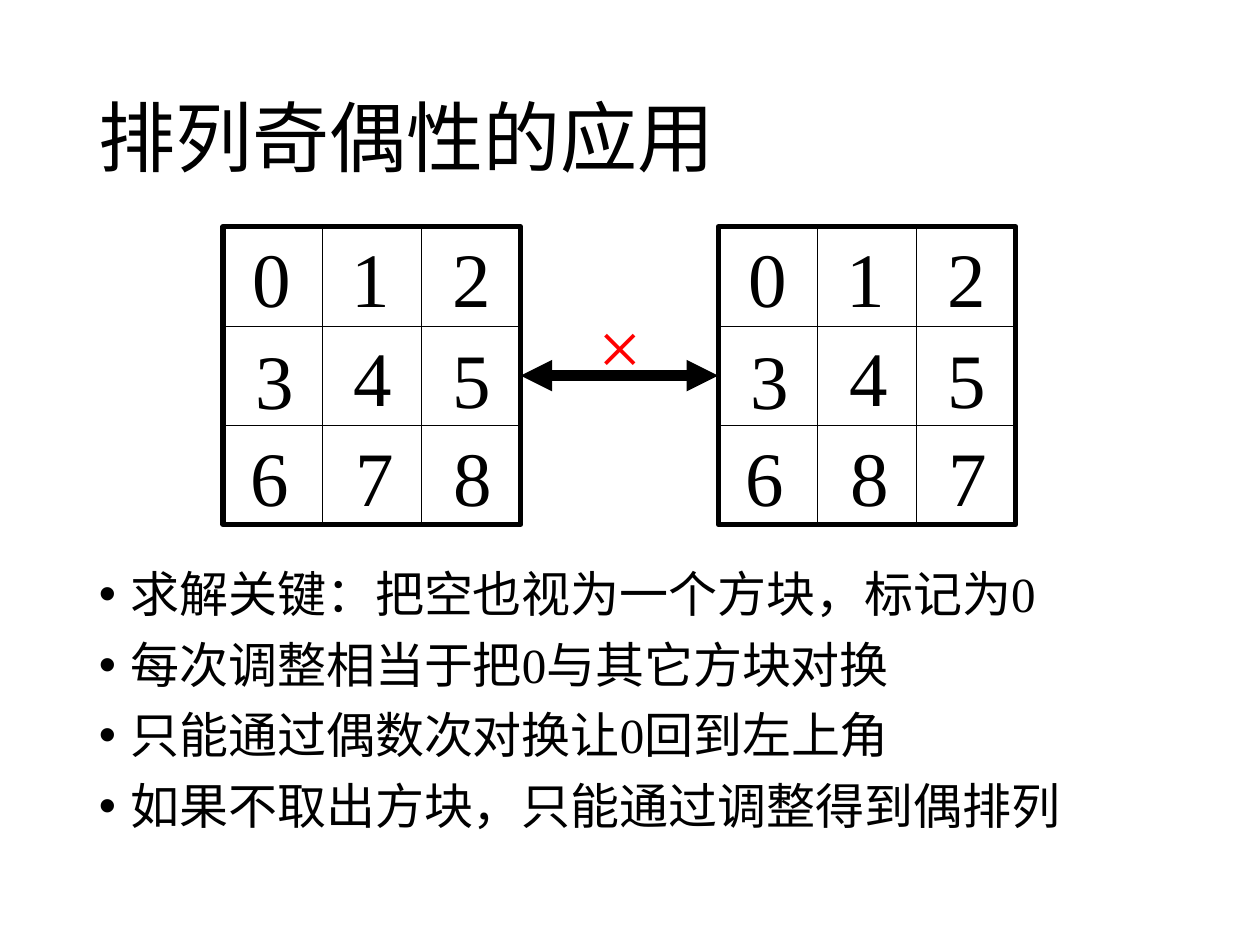
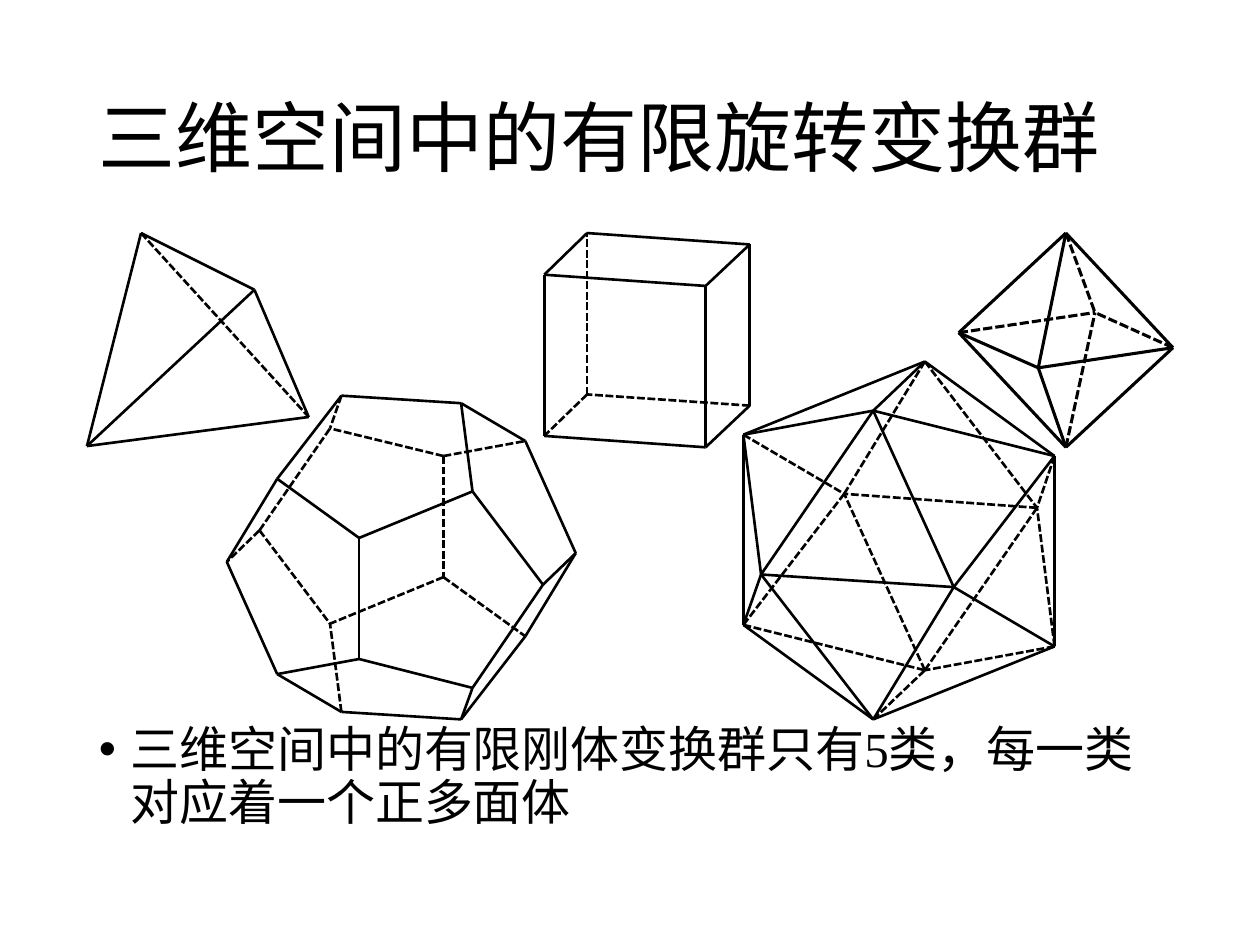
from dataclasses import dataclass

from lxml import etree
from pptx import Presentation
from pptx.dml.color import RGBColor
from pptx.enum.dml import MSO_LINE
from pptx.enum.shapes import MSO_CONNECTOR, MSO_SHAPE
from pptx.enum.text import MSO_ANCHOR, MSO_AUTO_SIZE
from pptx.oxml.ns import qn
from pptx.util import Pt

STRAIGHT = MSO_CONNECTOR.STRAIGHT
RECTANGLE = MSO_SHAPE.RECTANGLE
DASHED = MSO_LINE.SQUARE_DOT
MIDDLE = MSO_ANCHOR.MIDDLE
FIT_SHAPE = MSO_AUTO_SIZE.SHAPE_TO_FIT_TEXT
LEFT_SIDE, RIGHT_SIDE = 1, 3


@dataclass(frozen=True)
class Theme:
    ink: RGBColor = RGBColor(0, 0, 0)
    cross: RGBColor = RGBColor(255, 0, 0)
    chinese: str = "Noto Sans CJK SC"
    latin: str = "Times New Roman"
    large: int = 44
    body: int = 28


THEME = Theme()
SLIDE_SIZE = (720, 540)
TEXT_LEFT, TEXT_WIDTH = 49.5, 621
TITLE_TOP, TITLE_HEIGHT = 28.75, 104.4

# Content: permutation parity
PARITY_TITLE = "排列奇偶性的应用"
PARITY_POINTS = [
    "求解关键：把空也视为一个方块，标记为0",
    "每次调整相当于把0与其它方块对换",
    "只能通过偶数次对换让0回到左上角",
    "如果不取出方块，只能通过调整得到偶排列",
]
BOARDS = [(127.4, ["012", "345", "678"]), (410.4, ["012", "345", "687"])]
BOARD_TOP, CELL = 129.6, 56.7
DIGIT_SIZE = (36.7, 60.5)
# Shift of each digit from the centre of its cell
DIGIT_NUDGES = [
    [(0, 0.5), (-0.5, 0.5), (0.4, 0.5)],
    [(1.5, 2.1), (1, 0.6), (0.4, 1.4)],
    [(-1.4, 0.8), (1.7, 0.8), (1.2, 0.8)],
]
CROSS_BOX = (334.8, 167, 43.9, 60.5)

# Content: regular polyhedra, with lettered corners joined by edges
ROTATION_TITLE = "三维空间中的有限旋转变换群"
ROTATION_POINTS = ["三维空间中的有限刚体变换群只有5类，每一类对应着一个正多面体"]
TETRAHEDRON = dict(
    corners=dict(A=(80.6, 133.2), B=(145.4, 165.6),
                 C=(176.4, 238.3), D=(49.7, 254.9)),
    visible="AB BC BD CD AD",
    hidden="AC",
    weight=1.5,
)
CUBE = dict(
    corners=dict(A=(335.5, 133.2), B=(428.4, 139.7), C=(428.4, 231.8),
                 D=(335.5, 225.4), E=(311, 157), F=(403.2, 163.4),
                 G=(403.2, 255.6), H=(311, 249.1)),
    visible="AB BC EF FG GH HE AE BF CG",
    hidden="CD DA DH",
    weight=1.5,
)
OCTAHEDRON = dict(
    corners=dict(A=(609.1, 133.2), B=(670.3, 198.7), C=(609.1, 255.6),
                 D=(547.9, 190.1), E=(593.3, 210.2), F=(625.7, 178.6)),
    visible="AB BC CD DA AE BE CE DE",
    hidden="AF BF CF DF",
    weight=1.75,
)
DODECAHEDRON = dict(
    corners=dict(A=(263.5, 230.4), B=(195.1, 226.1), C=(158.4, 273.6),
                 D=(129.6, 321.1), E=(158.4, 385.2), F=(195.1, 406.8),
                 G=(263.5, 411.1), H=(300.2, 363.6), I=(329, 316.1),
                 J=(300.2, 252), K=(205.2, 307.4), L=(205.2, 376.6),
                 M=(270, 280.8), N=(310.3, 334.1), O=(270, 393.1),
                 P=(253.4, 260.6), Q=(253.4, 329.8), R=(188.6, 244.8),
                 S=(148.3, 303.1), T=(188.6, 356.4)),
    visible="AB BC CD DE EF FG GH HI IJ JA KL KM KC LE LO AM GO NM NO NI",
    hidden="PQ PJ PR QT QH BR FT SR ST SD",
    weight=1.5,
)
ICOSAHEDRON = dict(
    corners=dict(A=(528.5, 206.6), B=(602.6, 260.6), C=(602.6, 369.4),
                 D=(499, 411.1), E=(424.8, 357.1), F=(424.8, 248.4),
                 G=(499, 234.7), H=(545, 335.5), I=(434.9, 328.3),
                 J=(528.5, 383), K=(592.6, 290.2), L=(482.4, 282.2)),
    visible="AB BC CD DE EF FA AG BG FG BH CH GH DH HI FI EI GI DI",
    hidden="AK AL BK CK FL EL KL JK JL CJ DJ EJ",
    weight=1.5,
)
POLYHEDRA = [TETRAHEDRON, CUBE, OCTAHEDRON, DODECAHEDRON, ICOSAHEDRON]


# Shared parts
def style_font(paragraph, size, color=THEME.ink, latin=THEME.latin):
    font = paragraph.font
    font.size, font.name = Pt(size), latin
    font.color.rgb = color
    properties = paragraph._p.get_or_add_pPr().find(qn("a:defRPr"))
    etree.SubElement(properties, qn("a:ea"), typeface=THEME.chinese)


def add_text_frame(slide, left, top, width, height, wrap=True):
    frame = slide.shapes.add_textbox(
        Pt(left), Pt(top), Pt(width), Pt(height)).text_frame
    frame.word_wrap = wrap
    return frame


def add_title(slide, title):
    frame = add_text_frame(slide, TEXT_LEFT, TITLE_TOP, TEXT_WIDTH, TITLE_HEIGHT)
    frame.vertical_anchor = MIDDLE
    paragraph = frame.paragraphs[0]
    paragraph.text, paragraph.line_spacing = title, 0.9
    style_font(paragraph, THEME.large, latin=THEME.chinese)


def add_points(slide, points, top, height):
    frame = add_text_frame(slide, TEXT_LEFT, top, TEXT_WIDTH, height)
    frame.text = "\n".join(points)
    for paragraph in frame.paragraphs:
        paragraph.line_spacing, paragraph.space_before = 0.9, Pt(10)
        properties = paragraph._p.get_or_add_pPr()
        properties.set("marL", str(Pt(18)))
        properties.set("indent", str(Pt(-18)))
        etree.SubElement(properties, qn("a:buFont"), typeface="Arial")
        etree.SubElement(properties, qn("a:buChar"), char="•")
        style_font(paragraph, THEME.body)


def add_symbol(slide, symbol, box, color=THEME.ink):
    frame = add_text_frame(slide, *box, wrap=False)
    frame.auto_size = FIT_SHAPE
    frame.text = symbol
    style_font(frame.paragraphs[0], THEME.large, color)


def add_line(shapes, start, end, weight):
    connector = shapes.add_connector(STRAIGHT, *map(Pt, start + end))
    connector.line.color.rgb = THEME.ink
    connector.line.width = Pt(weight)
    etree.SubElement(connector._element.spPr, qn("a:effectLst"))
    return connector


# Puzzle board with its digits
def add_board(slide, left, rows):
    size = CELL * 3
    right, bottom = left + size, BOARD_TOP + size
    frame = slide.shapes.add_shape(
        RECTANGLE, Pt(left), Pt(BOARD_TOP), Pt(size), Pt(size))
    frame.shadow.inherit = False
    frame.fill.background()
    frame.line.color.rgb = THEME.ink
    frame.line.width = Pt(3)
    for step in (1, 2):
        x, y = left + step * CELL, BOARD_TOP + step * CELL
        add_line(slide.shapes, (left, y), (right, y), 0.5)
        add_line(slide.shapes, (x, BOARD_TOP), (x, bottom), 0.5)
    width, height = DIGIT_SIZE
    for row, digits in enumerate(rows):
        for column, digit in enumerate(digits):
            dx, dy = DIGIT_NUDGES[row][column]
            x = left + column * CELL + (CELL - width) / 2 + dx
            y = BOARD_TOP + row * CELL + (CELL - height) / 2 + dy
            add_symbol(slide, digit, (x, y, width, height))
    return frame


def add_polyhedron(slide, corners, visible, hidden, weight):
    edges = slide.shapes.add_group_shape().shapes
    for start, end in visible.split():
        add_line(edges, corners[start], corners[end], weight)
    for start, end in hidden.split():
        edge = add_line(edges, corners[start], corners[end], weight)
        edge.line.dash_style = DASHED


# Slides
def build_parity(slide):
    add_title(slide, PARITY_TITLE)
    add_points(slide, PARITY_POINTS, 322.5, 183)
    start, goal = [add_board(slide, left, rows) for left, rows in BOARDS]
    arrow = add_line(slide.shapes, (0, 0), (0, 0), 6)
    arrow.begin_connect(start, RIGHT_SIDE)
    arrow.end_connect(goal, LEFT_SIDE)
    outline = arrow.line._get_or_add_ln()
    for tip in ("a:headEnd", "a:tailEnd"):
        etree.SubElement(outline, qn(tip), type="triangle")
    add_symbol(slide, "×", CROSS_BOX, THEME.cross)


def build_rotation(slide):
    add_title(slide, ROTATION_TITLE)
    add_points(slide, ROTATION_POINTS, 411, 70.5)
    for polyhedron in POLYHEDRA:
        add_polyhedron(slide, **polyhedron)


def main():
    deck = Presentation()
    deck.slide_width, deck.slide_height = map(Pt, SLIDE_SIZE)
    blank = deck.slide_layouts[6]
    for build in (build_parity, build_rotation):
        build(deck.slides.add_slide(blank))
    deck.save("out.pptx")


if __name__ == "__main__":
    main()
